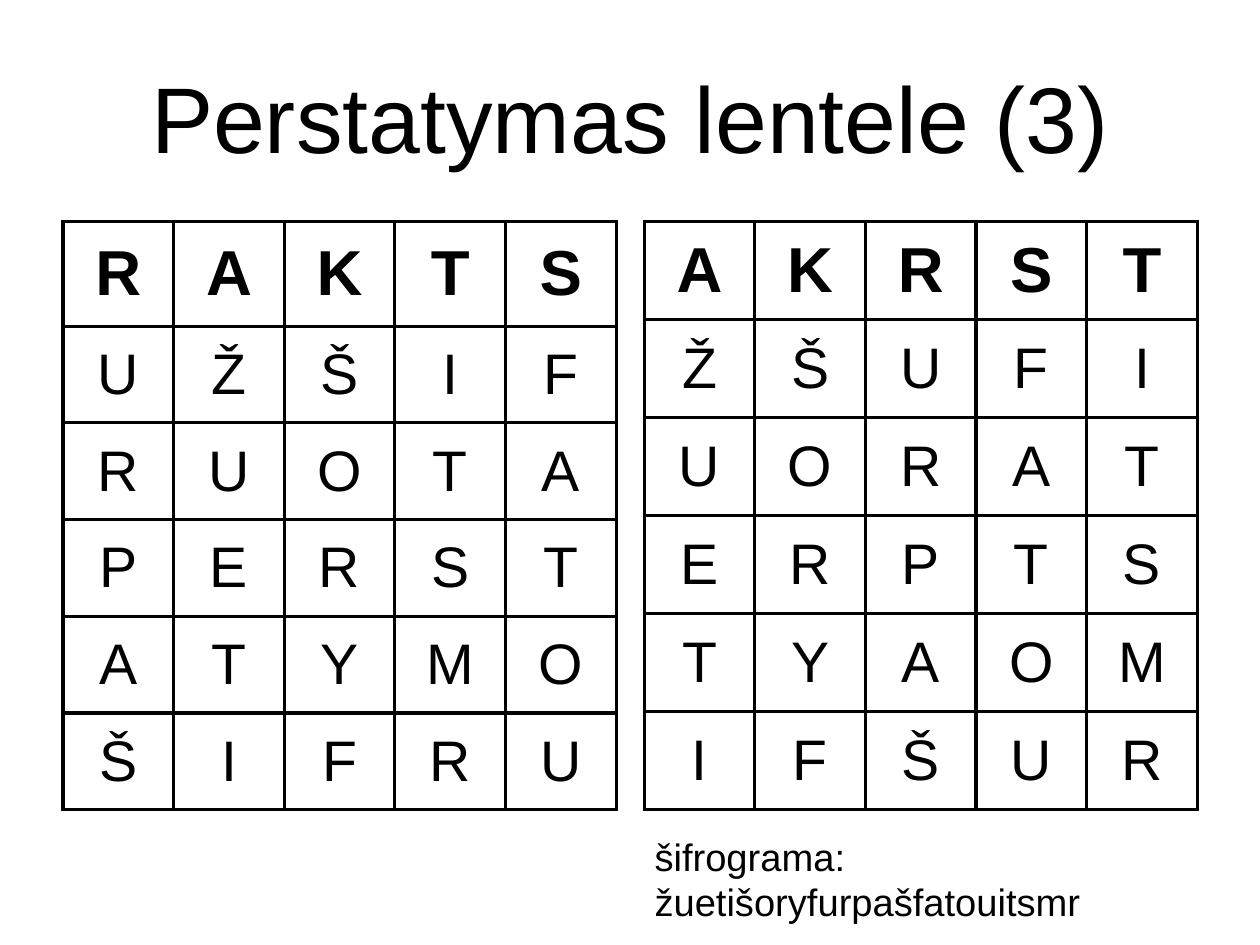
from dataclasses import dataclass

from lxml import etree
from pptx import Presentation
from pptx import util as u
from pptx.dml.color import RGBColor
from pptx.enum import text
from pptx.oxml.ns import qn

COLOURS = {"ink": "000000"}
FONT = "Arial"
BORDER_WIDTH = u.Pt(2.27)
COLUMN_WIDTH = 69.7
GRID_TOP, GRID_HEIGHT = 139.3, 370.8


@dataclass
class LetterGrid:
    left: float
    header_height: float
    rows: list[str]  # the keyword, then the message letters


PLAIN_GRID = LetterGrid(39.7, 66.2, ["RAKTS", "UŽŠIF", "RUOTA", "PERST", "ATYMO", "ŠIFRU"])
SORTED_GRID = LetterGrid(405.8, 61.8, ["AKRST", "ŽŠUFI", "UORAT", "ERPTS", "TYAOM", "IFŠUR"])


def apply(target, formats: dict) -> None:
    for name, value in formats.items():
        setattr(target, name, value)


def write(paragraph, content: str, size: float, bold: bool, align) -> None:
    paragraph.text = content
    paragraph.alignment = align
    font = paragraph.runs[0].font
    apply(font, {"name": FONT, "size": u.Pt(size), "bold": bold})
    font.color.rgb = RGBColor.from_string(COLOURS["ink"])


def add_borders(cell) -> None:
    properties = cell._tc.get_or_add_tcPr()
    for side in ("a:lnL", "a:lnR", "a:lnT", "a:lnB"):
        line = etree.SubElement(properties, qn(side), w=str(BORDER_WIDTH))
        fill = etree.SubElement(line, qn("a:solidFill"))
        etree.SubElement(fill, qn("a:srgbClr"), val=COLOURS["ink"])


def draw_grid(slide, grid: LetterGrid) -> None:
    row_count, column_count = len(grid.rows), len(grid.rows[0])
    table = slide.shapes.add_table(
        row_count, column_count, u.Pt(grid.left), u.Pt(GRID_TOP),
        u.Pt(column_count * COLUMN_WIDTH), u.Pt(GRID_HEIGHT)).table
    apply(table, {"first_row": False, "horz_banding": False})
    for column in table.columns:
        column.width = u.Pt(COLUMN_WIDTH)
    letter_height = (GRID_HEIGHT - grid.header_height) / (row_count - 1)
    for r, letters in enumerate(grid.rows):
        is_key = r == 0
        table.rows[r].height = u.Pt(grid.header_height if is_key else letter_height)
        for c, letter in enumerate(letters):
            cell = table.cell(r, c)
            add_borders(cell)
            cell.fill.background()
            cell.vertical_anchor = text.MSO_ANCHOR.MIDDLE
            write(cell.text_frame.paragraphs[0], letter, 40 if is_key else 36,
                  is_key, text.PP_ALIGN.CENTER)


def main() -> None:
    deck = Presentation()
    apply(deck, {"slide_width": u.Pt(793.7), "slide_height": u.Pt(595.28)})
    slide = deck.slides.add_slide(deck.slide_layouts[5])

    # Title
    heading = slide.shapes.title
    apply(heading, {"left": u.Pt(39.7), "top": u.Pt(23.6),
                    "width": u.Pt(714.3), "height": u.Pt(99.4)})
    apply(heading.text_frame, {
        "margin_left": 0, "margin_right": 0, "margin_top": 0, "margin_bottom": 0,
        "word_wrap": True, "auto_size": text.MSO_AUTO_SIZE.NONE,
        "vertical_anchor": text.MSO_ANCHOR.MIDDLE})
    write(heading.text_frame.paragraphs[0], "Perstatymas lentele (3)", 58.7,
          False, text.PP_ALIGN.CENTER)

    # Letter grids: message under the key, then columns sorted by key
    for grid in (PLAIN_GRID, SORTED_GRID):
        draw_grid(slide, grid)

    # Resulting ciphertext
    ciphertext = slide.shapes.add_textbox(u.Pt(405.2), u.Pt(521.3), u.Pt(298), u.Pt(60.5))
    ciphertext.text_frame.word_wrap = True
    write(ciphertext.text_frame.paragraphs[0],
          "šifrograma: žuetišoryfurpašfatouitsmr", 24, False, text.PP_ALIGN.LEFT)

    deck.save("out.pptx")


if __name__ == "__main__":
    main()
